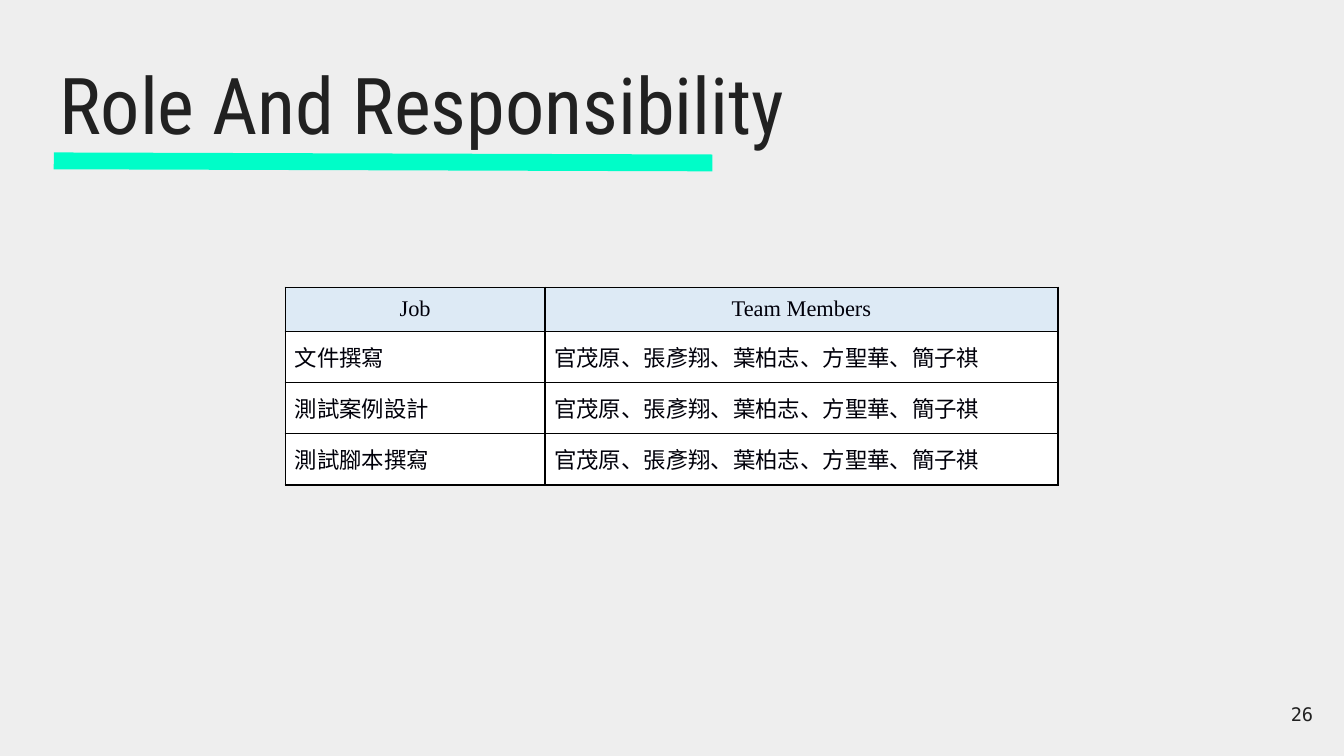
"""Build the Role And Responsibility slide with its table of jobs and members."""
import pptx
import pptx.dml.color
import pptx.enum.shapes
import pptx.enum.text
import pptx.oxml
import pptx.oxml.ns
import pptx.util
from lxml import etree

Pt = pptx.util.Pt
RGBColor = pptx.dml.color.RGBColor
Align = pptx.enum.text.PP_ALIGN
Anchor = pptx.enum.text.MSO_ANCHOR

BACKGROUND = RGBColor(0xEE, 0xEE, 0xEE)
INK = RGBColor(0x21, 0x21, 0x21)
ACCENT = RGBColor(0x00, 0xFD, 0xC8)
TABLE_INK = RGBColor(0x00, 0x00, 0x0A)
BORDER = RGBColor(0x00, 0x00, 0x00)
HEADER_FILL = RGBColor(0xDD, 0xEA, 0xF5)
BODY_FILL = RGBColor(0xFF, 0xFF, 0xFF)

HEADING = "Role And Responsibility"
PAGE = "26"
MEMBERS = "官茂原、張彥翔、葉柏志、方聖華、簡子祺"
HEADER = ("Job", "Team Members")
JOBS = ("文件撰寫", "測試案例設計", "測試腳本撰寫")
ROWS = [HEADER] + [(job, MEMBERS) for job in JOBS]

COLUMN_WIDTHS = (139, 275)
HEADER_HEIGHT, JOB_HEIGHT = 23.5, 27.4
INSET, CELL_INSET = 7.2, 5
SIDES = ("left", "top", "right", "bottom")

HEADING_FONT = {"name": "Roboto Condensed", "size": Pt(42), "bold": False}
TABLE_FONT = {"name": "Times New Roman", "size": Pt(12), "bold": False}
PAGE_FONT = {"name": "DejaVu Sans Mono", "size": Pt(10)}


def set_all(target, values):
    for key, value in values.items():
        setattr(target, key, value)


def write(frame, text, font, color, align):
    frame.text = text
    paragraph = frame.paragraphs[0]
    paragraph.alignment = align
    run_font = paragraph.runs[0].font
    set_all(run_font, font)
    run_font.color.rgb = color


def format_frame(frame, anchor):
    margins = {f"margin_{side}": Pt(INSET) for side in SIDES}
    set_all(frame, {"word_wrap": True, "vertical_anchor": anchor,
                    "auto_size": pptx.enum.text.MSO_AUTO_SIZE.NONE, **margins})


def add_borders(cell):
    properties = cell._tc.get_or_add_tcPr()
    for position, tag in enumerate(("a:lnL", "a:lnR", "a:lnT", "a:lnB")):
        edge = pptx.oxml.parse_xml(
            f'<{tag} {pptx.oxml.ns.nsdecls("a")} w="{Pt(1)}"><a:solidFill>'
            f'<a:srgbClr val="{BORDER}"/></a:solidFill></{tag}>')
        properties.insert(position, edge)


def add_heading(slide):
    heading = slide.shapes.title
    set_all(heading, {"left": Pt(24.5), "top": Pt(23), "width": Pt(671), "height": Pt(63.4)})
    format_frame(heading.text_frame, Anchor.TOP)
    write(heading.text_frame, HEADING, HEADING_FONT, INK, Align.LEFT)

    underline = slide.shapes.add_connector(
        pptx.enum.shapes.MSO_CONNECTOR.STRAIGHT, Pt(28.8), Pt(86.2), Pt(381.6), Pt(87.3))
    underline.line.color.rgb = ACCENT
    underline.line.width = Pt(9)
    etree.SubElement(underline._element.spPr, pptx.oxml.ns.qn("a:effectLst"))


def add_roles(slide):
    heights = [HEADER_HEIGHT] + [JOB_HEIGHT] * len(JOBS)
    roles = slide.shapes.add_table(
        len(ROWS), len(HEADER), Pt(152.9), Pt(154),
        Pt(sum(COLUMN_WIDTHS)), Pt(sum(heights))).table
    for column, width in zip(roles.columns, COLUMN_WIDTHS):
        column.width = Pt(width)
    for r, (values, height) in enumerate(zip(ROWS, heights)):
        roles.rows[r].height = Pt(height)
        fill, align = (HEADER_FILL, Align.CENTER) if r == 0 else (BODY_FILL, Align.LEFT)
        for c, value in enumerate(values):
            cell = roles.cell(r, c)
            set_all(cell, {f"margin_{side}": Pt(CELL_INSET) for side in SIDES})
            cell.fill.solid()
            cell.fill.fore_color.rgb = fill
            write(cell.text_frame, value, TABLE_FONT, TABLE_INK, align)
            add_borders(cell)


def add_page(slide):
    page = slide.shapes.add_textbox(Pt(667.4), Pt(367.2), Pt(43.2), Pt(31))
    format_frame(page.text_frame, Anchor.MIDDLE)
    write(page.text_frame, PAGE, PAGE_FONT, INK, Align.RIGHT)


def main():
    deck = pptx.Presentation()
    set_all(deck, {"slide_width": Pt(720), "slide_height": Pt(405)})
    slide = deck.slides.add_slide(deck.slide_layouts.get_by_name("Title Only"))
    slide.background.fill.solid()
    slide.background.fill.fore_color.rgb = BACKGROUND
    add_heading(slide)
    add_roles(slide)
    add_page(slide)
    deck.save("out.pptx")


if __name__ == "__main__":
    main()
